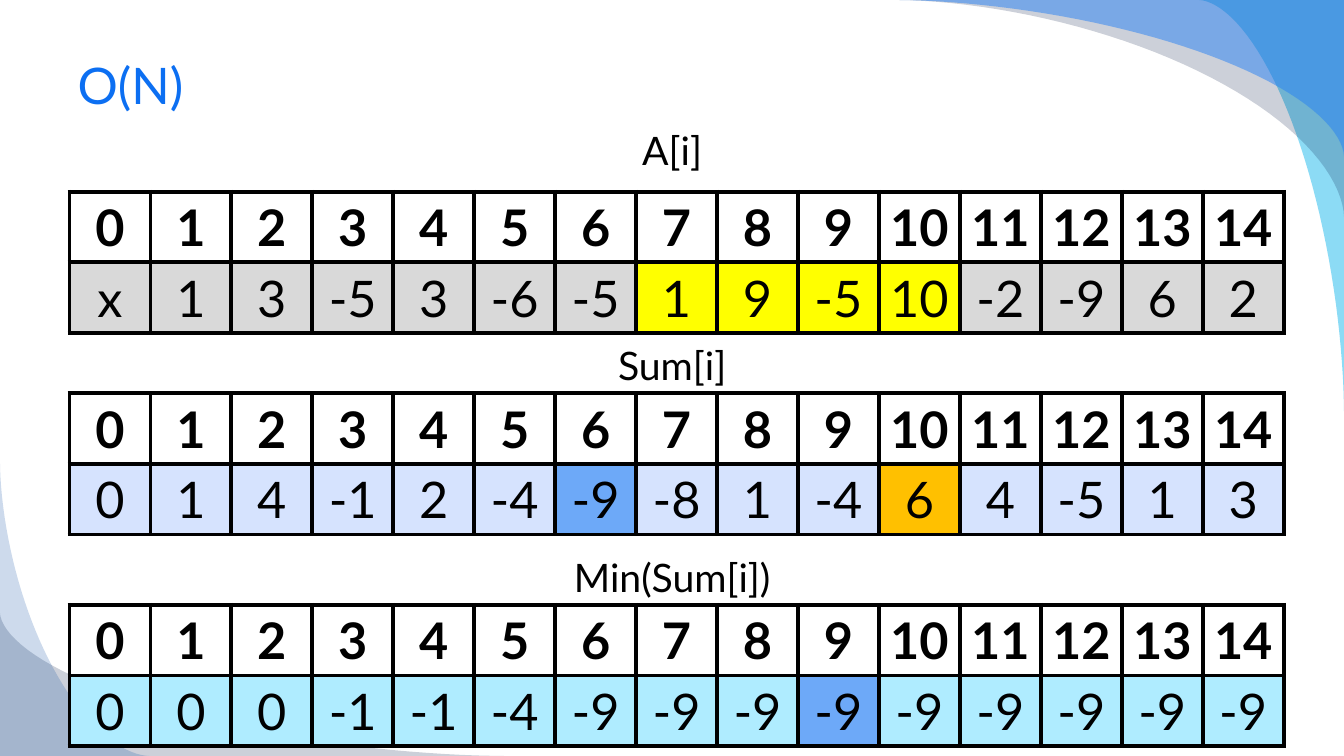
import math

from lxml import etree
from pptx import Presentation
from pptx import util as u
from pptx.dml.color import RGBColor
from pptx.enum import text
from pptx.oxml import ns

COLORS = {
    "title": "0C6FF2", "ink": "000000", "index": "FFFFFF",
    "values": "D9D9D9", "best": "FFFF00",
    "sums": "D6E3FE", "minimum": "6DA9F8", "end": "FFC000", "minima": "AFECFF",
    "cyan": "00B1E9", "navy": "021741", "blue": "247FF4", "deep": "084AA1",
}
FONT = "Lato"
SLIDE_W, SLIDE_H = 33.87, 19.05
COL_W, ROW_H, CAPTION_H = 2.04, 1.78, 1.42


def rgb(name):
    return RGBColor.from_string(COLORS[name])


def write(frame, words, size=36, color="ink", bold=False, align=text.PP_ALIGN.CENTER):
    frame.word_wrap = True
    paragraph = frame.paragraphs[0]
    paragraph.alignment = align
    run = paragraph.add_run()
    run.text = words
    run.font.name, run.font.size, run.font.bold = FONT, u.Pt(size), bold
    run.font.color.rgb = rgb(color)


def add_sweep(slide, corner, width, height, color, opacity):
    """Fill a slide corner up to a curve; signed width and height point inward."""
    x, y = corner
    steps, power = 40, 2 / 1.75
    curve = []
    for step in range(steps + 1):
        angle = math.pi / 2 * step / steps
        across = 1 - math.sin(angle) ** power
        down = 1 - abs(math.cos(angle)) ** power
        curve.append((u.Cm(x + width * across), u.Cm(y + height * down)))
    outline = slide.shapes.build_freeform(u.Cm(x), u.Cm(y))
    outline.add_line_segments(curve, close=True)
    sweep = outline.convert_to_shape()
    sweep.shadow.inherit = False
    sweep.line.fill.background()
    sweep.fill.solid()
    sweep.fill.fore_color.rgb = rgb(color)
    tint = sweep.fill._xPr.find(".//" + ns.qn("a:srgbClr"))
    etree.SubElement(tint, ns.qn("a:alpha"), val=str(opacity * 1000))


def add_background(slide):
    top_right, bottom_left = (SLIDE_W, 0), (0, SLIDE_H)
    add_sweep(slide, top_right, -3.66, 10.36, "cyan", 45)
    add_sweep(slide, top_right, -11.28, 5.46, "navy", 20)
    add_sweep(slide, top_right, -11.28, 3.94, "blue", 49)
    add_sweep(slide, bottom_left, 12.7, -3.61, "navy", 20)
    add_sweep(slide, bottom_left, 3.76, -7.42, "deep", 20)


def add_title(slide, left, top, width, height):
    title = slide.shapes.title
    slide.shapes._spTree.append(title._element)  # in front of the sweeps
    title.left, title.top, title.width, title.height = map(u.Cm, (left, top, width, height))
    title.text_frame.vertical_anchor = text.MSO_ANCHOR.MIDDLE
    title.text_frame.auto_size = text.MSO_AUTO_SIZE.NONE
    write(title.text_frame, "O(N)", color="title", align=text.PP_ALIGN.LEFT)


def add_borders(cell):
    properties = cell._tc.get_or_add_tcPr()
    for side in ("lnL", "lnR", "lnT", "lnB"):
        border = etree.SubElement(properties, ns.qn("a:" + side), w=str(u.Pt(3)))
        fill = etree.SubElement(border, ns.qn("a:solidFill"))
        etree.SubElement(fill, ns.qn("a:srgbClr"), val=COLORS["ink"])


def add_caption(slide, words, left, top, width):
    caption = slide.shapes.add_textbox(*map(u.Cm, (left, top, width, CAPTION_H)))
    write(caption.text_frame, words, size=28)


def add_array(slide, left, top, values, color, marked):
    """Draw an index row above a value row; marked maps an index to its colour."""
    count = len(values)
    array = slide.shapes.add_table(
        2, count, *map(u.Cm, (left, top, COL_W * count, 2 * ROW_H))).table
    array.first_row = array.horz_banding = False
    for row in array.rows:
        row.height = u.Cm(ROW_H)
    for index, value in enumerate(values):
        array.columns[index].width = u.Cm(COL_W)
        fills = ("index", marked.get(index, color))
        for row, (words, fill) in enumerate(zip((str(index), value), fills)):
            cell = array.cell(row, index)
            add_borders(cell)
            cell.fill.solid()
            cell.fill.fore_color.rgb = rgb(fill)
            cell.vertical_anchor = text.MSO_ANCHOR.MIDDLE
            write(cell.text_frame, words, bold=row == 0)


# Caption, caption top, table top, values, row colour, marked cells
ARRAYS = [
    ("A[i]", 3.05, 4.83, "x 1 3 -5 3 -6 -5 1 9 -5 10 -2 -9 6 2",
     "values", dict.fromkeys(range(7, 11), "best")),
    ("Sum[i]", 8.48, 9.91, "0 1 4 -1 2 -4 -9 -8 1 -4 6 4 -5 1 3",
     "sums", {6: "minimum", 10: "end"}),
    ("Min(Sum[i])", 13.82, 15.24, "0 0 0 -1 -1 -4 -9 -9 -9 -9 -9 -9 -9 -9 -9",
     "minima", {9: "minimum"}),
]


def main():
    deck = Presentation()
    deck.slide_width, deck.slide_height = u.Cm(SLIDE_W), u.Cm(SLIDE_H)
    slide = deck.slides.add_slide(deck.slide_layouts.get_by_name("Title Only"))
    add_background(slide)
    add_title(slide, 1.7, 0.84, 30.48, 2.57)
    for caption, caption_top, table_top, values, color, marked in ARRAYS:
        add_caption(slide, caption, 1.7, caption_top, 30.48)
        add_array(slide, 1.75, table_top, values.split(), color, marked)
    deck.save("out.pptx")


if __name__ == "__main__":
    main()
